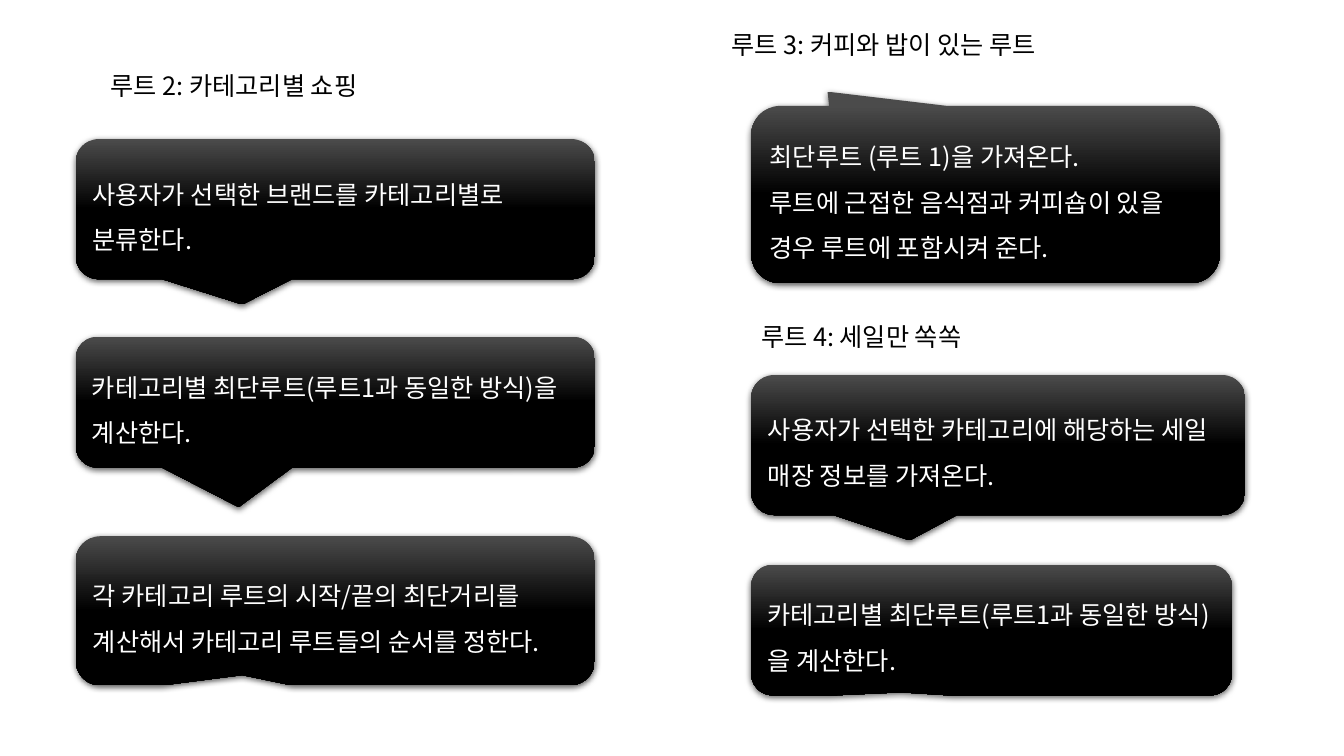
from copy import deepcopy
from dataclasses import dataclass

from lxml import etree
from pptx import Presentation
from pptx.dml.color import RGBColor
from pptx.enum.shapes import MSO_SHAPE
from pptx.enum.text import MSO_ANCHOR, MSO_AUTO_SIZE, PP_ALIGN
from pptx.oxml import parse_xml
from pptx.oxml.ns import nsdecls, qn
from pptx.util import Inches, Pt

CALLOUT = MSO_SHAPE.ROUNDED_RECTANGULAR_CALLOUT
MIDDLE = MSO_ANCHOR.MIDDLE
FIT_SHAPE = MSO_AUTO_SIZE.SHAPE_TO_FIT_TEXT
LEFT = PP_ALIGN.LEFT

WIDTH = Inches(13.33)
HEIGHT = Inches(7.5)


@dataclass(frozen=True)
class Theme:
    font: str = "Noto Sans CJK KR"
    size: int = 18
    spacing: float = 1.5
    heading: str = "000000"
    body: str = "FFFFFF"
    gradient: tuple = ((0, "4B4B4B"), (0.5, "000000"), (1, "000000"))
    shadow: str = "000000"
    corner: float = 0.167


THEME = Theme()

LEFT_COL = 5.63
RIGHT_COL = 55.89
LEFT_WIDTH = 38.63
HEADING_HEIGHT = 5.33

HEADINGS = [
    (7.5, 8.67, 24.53, "루트 2: 카테고리별 쇼핑"),
    (53.71, 3.2, 41.94, "루트 3: 커피와 밥이 있는 루트"),
    (RIGHT_COL, 41.87, 41.94, "루트 4: 세일만 쏙쏙"),
]

SHORTEST_BY_CATEGORY = "카테고리별 최단루트(루트1과 동일한 방식)을 계산한다."

CALLOUTS = [
    (LEFT_COL, 18.4, LEFT_WIDTH, 18.53, (-0.179, 0.681),
     "사용자가 선택한 브랜드를 카테고리별로 분류한다."),
    (LEFT_COL, 44.53, LEFT_WIDTH, 17.33, (-0.186, 0.801),
     SHORTEST_BY_CATEGORY),
    (LEFT_COL, 70.93, LEFT_WIDTH, 19.73, (-0.179, 0.431),
     "각 카테고리 루트의 시작/끝의 최단거리를 계산해서 카테고리 루트들의 순서를 정한다."),
    (RIGHT_COL, 14, 34.88, 23.47, (-0.337, -0.58),
     "최단루트 (루트 1)을 가져온다.\n"
     "루트에 근접한 음식점과 커피숍이 있을 경우 루트에 포함시켜 준다."),
    (RIGHT_COL, 49.6, 36.76, 18.53, (-0.179, 0.681),
     "사용자가 선택한 카테고리에 해당하는 세일 매장 정보를 가져온다."),
    (RIGHT_COL, 74.67, 35.78, 17.33, (-0.188, 0.476),
     SHORTEST_BY_CATEGORY),
]


def place(x, y, w, h):
    return (int(WIDTH * x / 100), int(HEIGHT * y / 100),
            int(WIDTH * w / 100), int(HEIGHT * h / 100))


def set_text(tf, text, color, spacing=None):
    tf.word_wrap = True
    tf.text = text
    for p in tf.paragraphs:
        p.alignment = LEFT
        p.line_spacing = spacing
        for r in p.runs:
            r.font.name = THEME.font
            r.font.size = Pt(THEME.size)
            r.font.color.rgb = RGBColor.from_string(color)
            ea = etree.SubElement(r.font._element, qn("a:ea"))
            ea.set("typeface", THEME.font)


def set_gradient(sp):
    sp.fill.gradient()
    sp.fill.gradient_angle = 270
    stops = sp._element.spPr.find(".//" + qn("a:gsLst"))
    stops.append(deepcopy(stops[-1]))
    for stop, (position, color) in zip(sp.fill.gradient_stops, THEME.gradient):
        stop.position = position
        stop.color.rgb = RGBColor.from_string(color)


def set_shadow(sp):
    sp.shadow.inherit = False
    effects = sp._element.spPr.find(qn("a:effectLst"))
    effects.append(parse_xml(
        f'<a:outerShdw {nsdecls("a")} blurRad="{Pt(4.5)}" dist="{Pt(1.5)}" '
        f'dir="5400000" rotWithShape="0"><a:srgbClr val="{THEME.shadow}">'
        '<a:alpha val="63000"/></a:srgbClr></a:outerShdw>'))


def add_heading(s, x, y, w, text):
    sp = s.shapes.add_textbox(*place(x, y, w, HEADING_HEIGHT))
    set_text(sp.text_frame, text, THEME.heading)
    sp.text_frame.auto_size = FIT_SHAPE


def add_callout(s, x, y, w, h, tip, text):
    sp = s.shapes.add_shape(CALLOUT, *place(x, y, w, h))
    for i, value in enumerate((*tip, THEME.corner)):
        sp.adjustments[i] = value
    set_gradient(sp)
    sp.line.fill.background()
    set_shadow(sp)
    sp.text_frame.vertical_anchor = MIDDLE
    set_text(sp.text_frame, text, THEME.body, THEME.spacing)


def main():
    prs = Presentation()
    prs.slide_width = WIDTH
    prs.slide_height = HEIGHT
    s = prs.slides.add_slide(prs.slide_layouts[6])
    for heading in HEADINGS:
        add_heading(s, *heading)
    for callout in CALLOUTS:
        add_callout(s, *callout)
    prs.save("out.pptx")


if __name__ == "__main__":
    main()
